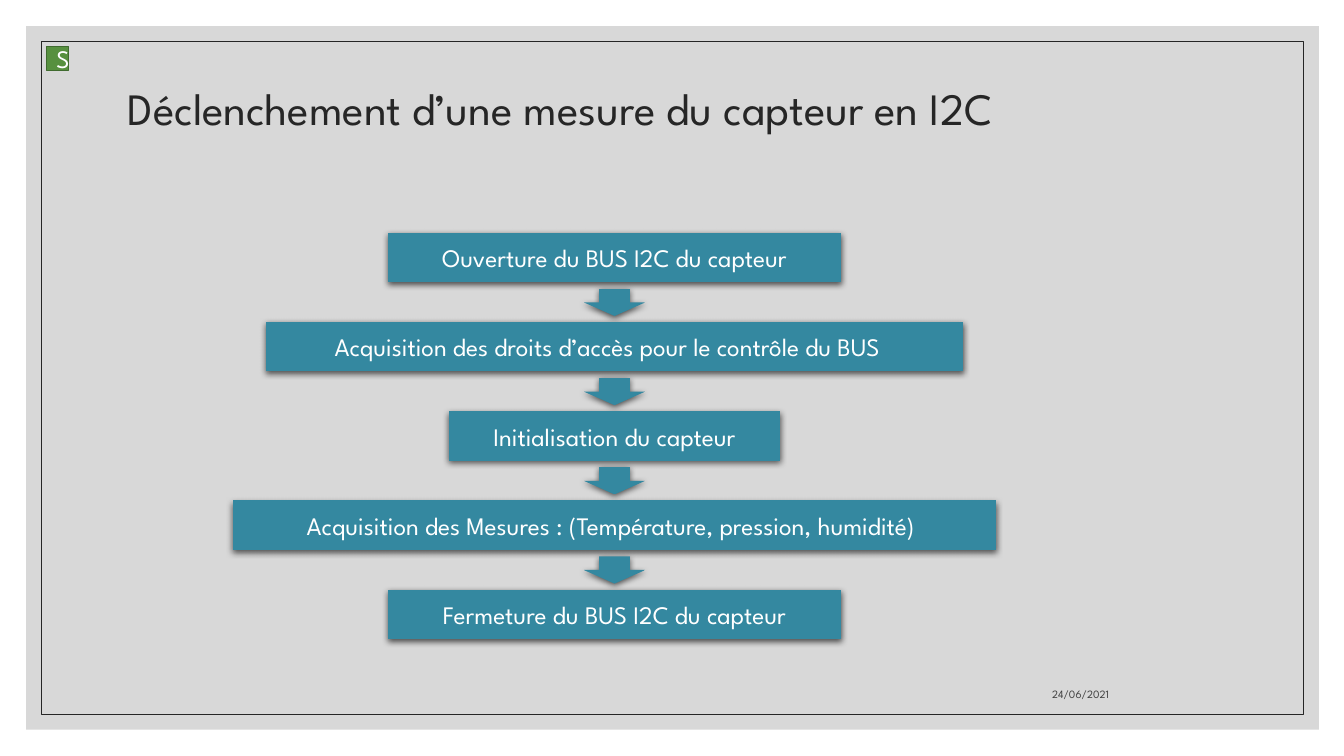
"""Builds the slide on triggering a sensor measurement over I2C."""
from lxml import etree
from pptx import Presentation
from pptx.dml.color import RGBColor
from pptx.enum.shapes import MSO_SHAPE as Shape
from pptx.enum.text import MSO_ANCHOR as Anchor, PP_ALIGN as Align
from pptx.oxml import parse_xml
from pptx.oxml.ns import nsdecls, qn
from pptx.util import Inches, Pt

FONT = "League Spartan"
WHITE = RGBColor(0xFF, 0xFF, 0xFF)
PANEL_GRAY = RGBColor(0xBF, 0xBF, 0xBF)
DARK = RGBColor(0x26, 0x26, 0x26)
DATE_GRAY = RGBColor(0x40, 0x40, 0x40)
TEAL_TOP = RGBColor(0x34, 0x88, 0xA0)
TEAL_BOTTOM = RGBColor(0x31, 0x88, 0xA1)
GREEN = RGBColor(0x57, 0x90, 0x3F)
GREEN_LINE = RGBColor(0x40, 0x6B, 0x2F)

CENTER = 6.095
FIRST_TOP = 2.31
STEP_PITCH = 0.885
STEP_HEIGHT = 0.49
ARROW_OFFSET = 0.555
ARROW_WIDTH = 0.61
ARROW_HEIGHT = 0.27

SHADOW = (
    f'<a:outerShdw {nsdecls("a")} blurRad="57150" dist="19050" dir="5400000" '
    'algn="ctr" rotWithShape="0"><a:srgbClr val="000000"><a:alpha val="63000"/>'
    '</a:srgbClr></a:outerShdw>'
)


def write(box, text, size, color, align, anchor):
    """Put one styled run into a box and return its paragraph."""
    frame = box.text_frame
    frame.word_wrap = True
    frame.vertical_anchor = anchor
    para = frame.paragraphs[0]
    para.alignment = align
    span = para.add_run()
    span.text = text
    span.font.name = FONT
    span.font.size = Pt(size)
    span.font.color.rgb = color
    return para


def add_teal(kind, top, width, height):
    """Add a centred teal shape with a soft shadow."""
    shape = page.shapes.add_shape(
        kind, Inches(CENTER - width / 2), Inches(top), Inches(width), Inches(height))
    shape.fill.gradient()
    shape.fill.gradient_angle = 270
    for stop, color in zip(shape.fill.gradient_stops, (TEAL_TOP, TEAL_BOTTOM)):
        stop.color.rgb = color
    shape.line.fill.background()
    shape.shadow.inherit = False
    effects = shape._element.spPr.find(qn("a:effectLst"))
    effects.append(parse_xml(SHADOW))
    return shape


deck = Presentation()
deck.slide_width = Inches(13.33)
deck.slide_height = Inches(7.5)
page = deck.slides.add_slide(deck.slide_layouts[6])

panel = page.shapes.add_shape(
    Shape.RECTANGLE, Inches(0.26), Inches(0.26), Inches(12.82), Inches(6.98))
panel.fill.solid()
panel.fill.fore_color.rgb = PANEL_GRAY
panel_color = panel._element.spPr.find(".//" + qn("a:srgbClr"))
etree.SubElement(panel_color, qn("a:alpha")).set("val", "60000")
panel.line.fill.background()
panel.shadow.inherit = False

border = page.shapes.add_shape(
    Shape.RECTANGLE, Inches(0.41), Inches(0.41), Inches(12.52), Inches(6.68))
border.fill.background()
border.line.color.rgb = DARK
border.line.width = Pt(0.5)
border.shadow.inherit = False

title = page.shapes.add_textbox(Inches(1.17), Inches(0.7), Inches(11), Inches(0.81))
title_para = write(title, "Déclenchement d’une mesure du capteur en I2C",
                   32, DARK, Align.LEFT, Anchor.MIDDLE)
title_para.line_spacing = 0.9

date = page.shapes.add_textbox(Inches(7.94), Inches(6.6), Inches(3.16), Inches(0.4))
write(date, "24/06/2021", 8, DATE_GRAY, Align.RIGHT, Anchor.BOTTOM)

steps = [
    ("Ouverture du BUS I2C du capteur", 4.49, 0.1),
    ("Acquisition des droits d’accès pour le contrôle du BUS", 6.92, 0.24),
    ("Initialisation du capteur", 3.29, 0.1),
    ("Acquisition des Mesures : (Température, pression, humidité)", 7.57, 0.17),
    ("Fermeture du BUS I2C du capteur", 4.49, 0.1),
]
for index, (label, width, right_margin) in enumerate(steps):
    top = FIRST_TOP + index * STEP_PITCH
    step = add_teal(Shape.RECTANGLE, top, width, STEP_HEIGHT)
    step.text_frame.margin_right = Inches(right_margin)
    write(step, label, 18, WHITE, Align.CENTER, Anchor.MIDDLE)
    if index < len(steps) - 1:
        add_teal(Shape.DOWN_ARROW, top + ARROW_OFFSET, ARROW_WIDTH, ARROW_HEIGHT)

badge = page.shapes.add_shape(
    Shape.RECTANGLE, Inches(0.46), Inches(0.46), Inches(0.22), Inches(0.24))
badge.fill.solid()
badge.fill.fore_color.rgb = GREEN
badge.line.color.rgb = GREEN_LINE
badge.line.width = Pt(1)
badge.shadow.inherit = False
write(badge, "S", 18, WHITE, Align.CENTER, Anchor.MIDDLE)

deck.save("out.pptx")
